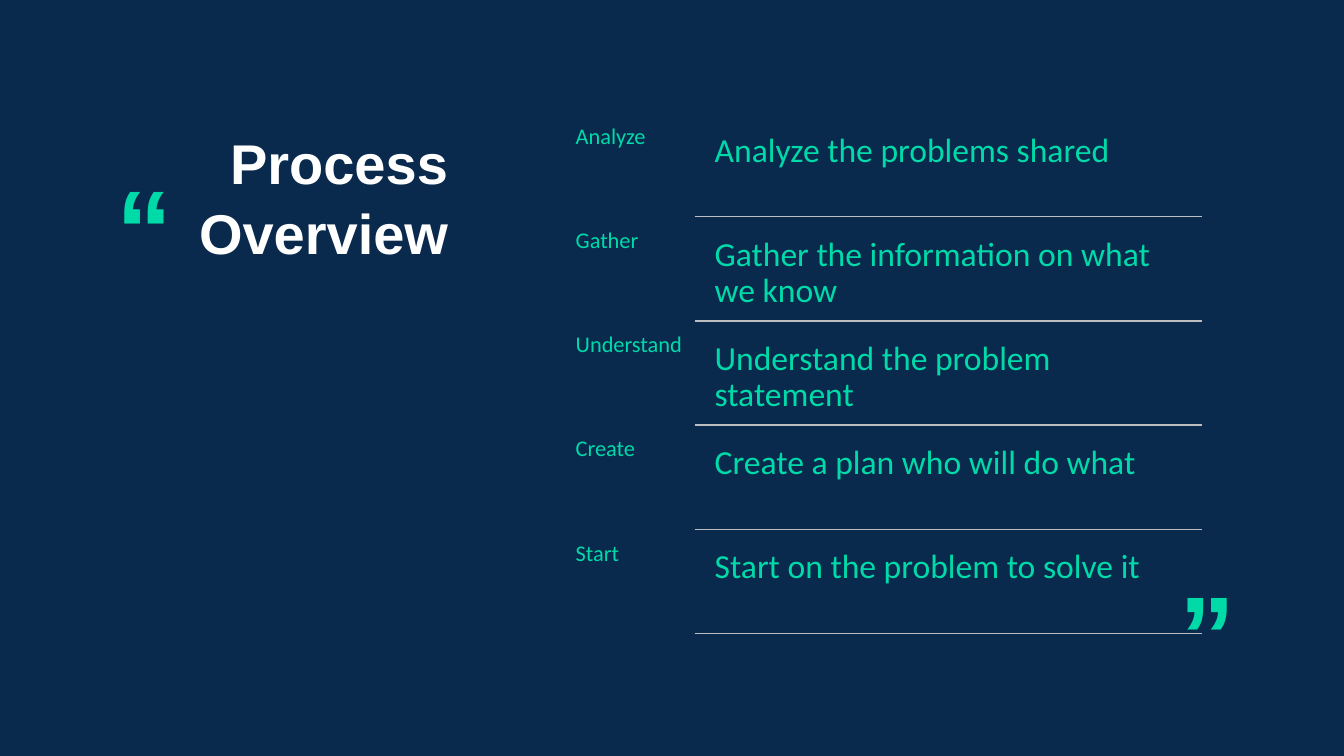
"""Build the Process Overview slide with five ruled steps."""
from lxml import etree
from pptx import Presentation
from pptx.dml.color import RGBColor
from pptx.enum.shapes import MSO_CONNECTOR
from pptx.enum.text import MSO_ANCHOR, PP_ALIGN
from pptx.oxml.ns import qn
from pptx.util import Inches, Pt

NAVY = RGBColor(0x09, 0x29, 0x4D)
MINT = RGBColor(0x00, 0xDA, 0xA9)
GREY = RGBColor(0xBD, 0xBE, 0xC2)
WHITE = RGBColor(0xFF, 0xFF, 0xFF)
LEFT, RIGHT = PP_ALIGN.LEFT, PP_ALIGN.RIGHT
TOP, BOTTOM = MSO_ANCHOR.TOP, MSO_ANCHOR.BOTTOM
STRAIGHT = MSO_CONNECTOR.STRAIGHT

STEPS = [
    ("Analyze", "Analyze the problems shared"),
    ("Gather", "Gather the information on what we know"),
    ("Understand", "Understand the problem statement"),
    ("Create", "Create a plan who will do what"),
    ("Start", "Start on the problem to solve it"),
]
HEAD, HIGH = 1.17, 5.17
ROW = HIGH / len(STEPS)
LABEL, RULE, BODY, EDGE = 5.64, 6.89, 6.99, 11.92

deck = Presentation()
deck.slide_width, deck.slide_height = Inches(13.33), Inches(7.5)
slide = deck.slides.add_slide(deck.slide_layouts[6])
slide.background.fill.solid()
slide.background.fill.fore_color.rgb = NAVY


def write(text, left, top, width, height, size, font="Calibri", color=MINT,
          bold=False, align=LEFT, anchor=TOP, wrap=True, space=0.9,
          pads=(0.1, 0.05, 0.1, 0.05)):
    box = slide.shapes.add_textbox(
        Inches(left), Inches(top), Inches(width), Inches(height))
    frame = box.text_frame
    frame.word_wrap = wrap
    frame.vertical_anchor = anchor
    (frame.margin_left, frame.margin_top,
     frame.margin_right, frame.margin_bottom) = map(Inches, pads)
    para = frame.paragraphs[0]
    para.alignment = align
    para.line_spacing = space
    run = para.add_run()
    run.text = text
    run.font.name = font
    run.font.size = Pt(size)
    run.font.bold = bold
    run.font.color.rgb = color


for mark, left, top, anchor in (("“", 1.06, 1.51, TOP), ("”", 11.6, 5.52, BOTTOM)):
    write(mark, left, top, 0.69, 1.45, 80, font="Arial", bold=True,
          anchor=anchor, wrap=False, space=1.0)

write("Process Overview", 0.92, HEAD, 3.62, HIGH, 40, font="Arial", color=WHITE,
      bold=True, align=RIGHT, space=1.04, pads=(0.1, 0.08, 0.1, 0.05))

for index, (label, body) in enumerate(STEPS):
    top = HEAD + index * ROW
    write(label, LABEL, top, 1.26, ROW, 16, pads=(0.07,) * 4)
    write(body, BODY, top + 0.05, EDGE - BODY, 0.94, 24, pads=(0.1,) * 4)
    base = Inches(top + 0.98)
    rule = slide.shapes.add_connector(
        STRAIGHT, Inches(RULE), base, Inches(EDGE), base)
    rule.line.color.rgb = GREY
    rule.line.width = Pt(1)
    etree.SubElement(rule._element.spPr, qn("a:effectLst"))

deck.save("out.pptx")
